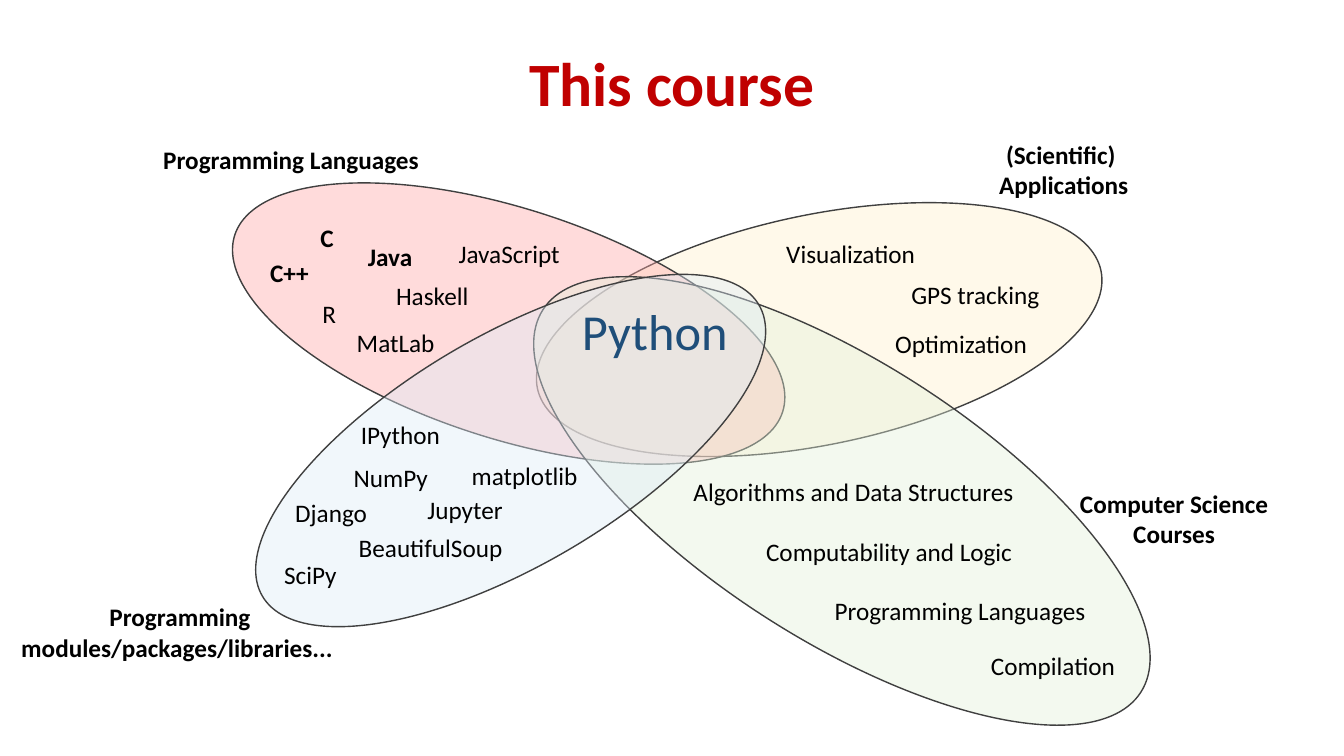
from dataclasses import dataclass

import pptx
import pptx.dml.color
import pptx.enum.shapes
import pptx.enum.text
import pptx.oxml.ns
import pptx.util
from lxml import etree

RGBColor = pptx.dml.color.RGBColor
ALIGN = pptx.enum.text.PP_ALIGN
ANCHOR = pptx.enum.text.MSO_ANCHOR

PX = 9144  # 100 px to the inch
FONT = "Calibri"
BLACK = RGBColor(0x00, 0x00, 0x00)
OUTLINE = RGBColor(0x40, 0x40, 0x40)
TITLE_RED = RGBColor(0xC0, 0x00, 0x00)
PYTHON_BLUE = RGBColor(0x1F, 0x4E, 0x79)
CREAM = RGBColor(0xFF, 0xF2, 0xCC)
PINK = RGBColor(0xFF, 0xA7, 0xA7)
GREEN = RGBColor(0xE2, 0xF0, 0xD9)
BLUE = RGBColor(0xDE, 0xEB, 0xF7)
OPACITY_PERCENT = 40


@dataclass
class Label:
    """Text placed at an offset from the corner of the box it belongs to."""
    text: str
    left: int
    top: int
    width: int
    height: int = 40
    bold: bool = False
    align: ALIGN = ALIGN.LEFT
    size: int = 18
    color: RGBColor = BLACK
    anchor: ANCHOR = ANCHOR.TOP


def heading(text, left, top, width, height=71, align=ALIGN.CENTER):
    return Label(text, left, top, width, height, bold=True, align=align)


def px(*lengths):
    return [pptx.util.Emu(length * PX) for length in lengths]


def add_label(slide, label, left=0, top=0):
    box = slide.shapes.add_textbox(
        *px(left + label.left, top + label.top, label.width, label.height))
    frame = box.text_frame
    frame.word_wrap = True
    frame.vertical_anchor = label.anchor
    paragraph = frame.paragraphs[0]
    paragraph.text = label.text
    paragraph.alignment = label.align
    font = paragraph.font
    font.name = FONT
    font.size = pptx.util.Pt(label.size)
    font.bold = label.bold
    font.color.rgb = label.color
    return box


def add_field(slide, box, rotation, color, labels):
    """Draw a translucent tilted ellipse with its heading and terms."""
    ellipse = slide.shapes.add_shape(
        pptx.enum.shapes.MSO_SHAPE.OVAL, *px(*box))
    ellipse.rotation = rotation
    ellipse.shadow.inherit = False
    ellipse.fill.solid()
    ellipse.fill.fore_color.rgb = color
    ellipse.line.color.rgb = OUTLINE
    ellipse.line.width = pptx.util.Pt(1)
    qn = pptx.oxml.ns.qn
    fill_color = ellipse.element.spPr.find(qn("a:solidFill")).find(qn("a:srgbClr"))
    etree.SubElement(fill_color, qn("a:alpha"), val=str(OPACITY_PERCENT * 1000))
    left, top = box[:2]
    for label in labels:
        add_label(slide, label, left, top)


FIELDS = [
    ((527, 213, 571, 228), 348.2, CREAM, [
        heading("(Scientific) \vApplications", 395, -80, 266),
        Label("Visualization", 243, 19, 204),
        Label("GPS tracking", 367, 59, 204),
        Label("Optimization", 351, 108, 204),
    ]),
    ((219, 207, 571, 228), 17.9, PINK, [
        heading("Programming Languages", -67, -69, 279, 40, ALIGN.LEFT),
        Label("C", 89, 9, 100, bold=True),
        Label("C++", 39, 43, 100, bold=True),
        Label("Java", 136, 27, 100, bold=True),
        Label("Haskell", 164, 66, 100),
        Label("JavaScript", 226, 25, 127),
        Label("R", 80, 84, 55, align=ALIGN.CENTER),
        Label("MatLab", 125, 113, 100),
    ]),
    ((483, 359, 704, 276), 32.6, GREEN, [
        heading("Computer Science Courses", 577, 120, 209),
        Label("Algorithms and Data Structures", 185, 109, 357, align=ALIGN.CENTER),
        Label("Computability and Logic", 267, 168, 357),
        Label("Programming Languages", 335, 227, 357),
        Label("Compilation", 490, 281, 166),
    ]),
    ((221, 333, 571, 228), 329.6, BLUE, [
        heading("Programming modules/packages/libraries... ", -221, 259, 357),
        Label("NumPy", 120, 121, 144),
        Label("SciPy", 51, 217, 144),
        Label("BeautifulSoup", 125, 190, 174),
        Label("matplotlib", 237, 119, 130),
        Label("IPython", 127, 78, 104),
        Label("Jupyter", 193, 153, 100),
        Label("Django", 62, 155, 144),
    ]),
]


def add_title(slide, box):
    title = add_label(slide, Label(
        "This course", *box, bold=True, align=ALIGN.CENTER, size=44,
        color=TITLE_RED, anchor=ANCHOR.MIDDLE))
    title.text_frame.paragraphs[0].line_spacing = 0.9


def main():
    presentation = pptx.Presentation()
    presentation.slide_width, presentation.slide_height = px(1333, 750)
    slide = presentation.slides.add_slide(presentation.slide_layouts[6])
    add_title(slide, (0, 13, 1333, 145))
    for field in FIELDS:
        add_field(slide, *field)
    add_label(slide, Label("Python", 559, 293, 181, 71, align=ALIGN.CENTER,
                           size=36, color=PYTHON_BLUE))
    presentation.save("out.pptx")


if __name__ == "__main__":
    main()
